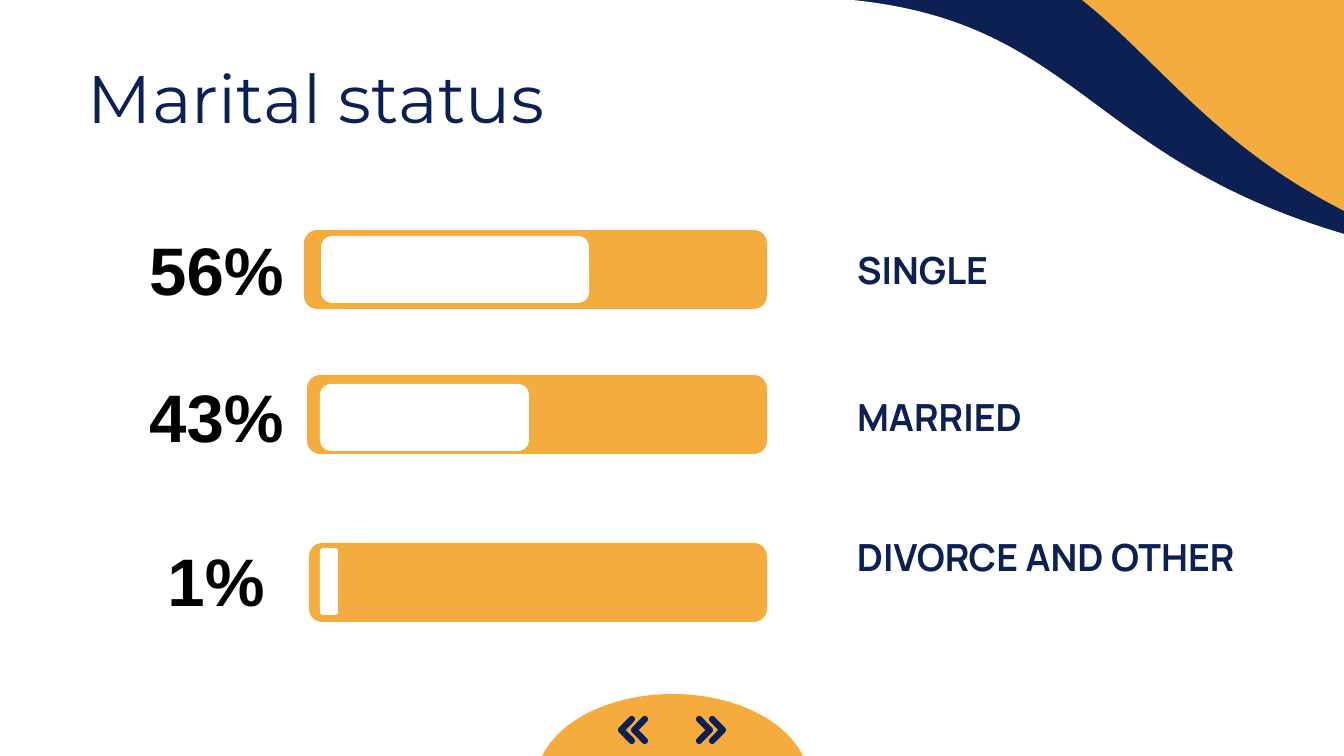
from math import cos, radians, sin, sqrt

from pptx import Presentation
from pptx import util as u
from pptx.dml.color import RGBColor
from pptx.enum import shapes, text

PX = 914400 / 134.4
SHAPE = shapes.MSO_SHAPE
PAD = 13


class Theme:
    orange, navy, white, black = "F3AC3D", "0C2054", "FFFFFF", "000000"
    title = dict(font="Montserrat", size=36, color=navy)
    label = dict(font="Manrope", size=20, color=navy, bold=True)
    percent = dict(font="Arial", size=36, color=black, bold=True,
                   align=text.PP_ALIGN.RIGHT)


# boxes are left, top, width, height in px
TITLE = ("Marital status", (75, 44, 1163, 106))
WAVES = [  # box, rotation, colour
    ((636, -36, 755, 806), 198.2, Theme.navy),
    ((661, 34, 681, 601), 194.3, Theme.white),
    ((-133, -93, 1535, 1051), 194.3, Theme.white),
]
TRACK_RIGHT, TRACK_H = 767, 79
FILL_H = 67
PERCENT_RIGHT = 300
LABEL_LEFT = 844
ROWS = [
    dict(percent="56%", percent_at=(132, 235), pad_right=PAD,
         track_at=(304, 230), fill_at=(321, 236), fill_w=268,
         label="SINGLE", label_at=(251, 188, 38)),
    dict(percent="43%", percent_at=(132, 382), pad_right=PAD,
         track_at=(307, 375), fill_at=(320, 384), fill_w=209,
         label="MARRIED", label_at=(389, 246, 55)),
    dict(percent="1%", percent_at=(146, 546), pad_right=32,
         track_at=(309, 543), fill_at=(320, 548), fill_w=18,
         label="DIVORCE AND OTHER", label_at=(529, 450, 55)),
]
TAB = (536, 694, 273, 176)
ARROWS = [(1, (696, 709)), (-1, (631, 618))]  # direction, lefts
ARROW_TOP, ARROW_W, ARROW_H, ARROW_R = 716, 17, 28, 3.2


def px(*values):
    return [u.Emu(round(v * PX)) for v in values]


def paint(s, color):
    s.shadow.inherit = False
    s.fill.solid()
    s.fill.fore_color.rgb = RGBColor.from_string(color)
    s.line.fill.background()
    return s


def add_shape(slide, kind, box, color, rotation=0, flip=False):
    s = paint(slide.shapes.add_shape(kind, *px(*box)), color)
    s.rotation = rotation
    if flip:
        s._element.spPr.xfrm.set("flipH", "1")
    return s


def add_bar(slide, box, color):
    s = add_shape(slide, SHAPE.ROUNDED_RECTANGLE, box, color)
    s.adjustments[0] = 0.167
    return s


def write(s, words, font, size, color, bold=False,
          align=text.PP_ALIGN.LEFT, pad_right=PAD):
    tf = s.text_frame
    tf.word_wrap = True
    tf.vertical_anchor = text.MSO_ANCHOR.MIDDLE
    tf.margin_left, tf.margin_top, tf.margin_right, tf.margin_bottom = px(
        PAD, PAD, pad_right, PAD)
    p = tf.paragraphs[0]
    p.alignment = align
    r = p.add_run()
    r.text = words
    r.font.name, r.font.size, r.font.bold = font, u.Pt(size), bold
    r.font.color.rgb = RGBColor.from_string(color)


def chevron(left, direction):
    """Outline of a round-ended chevron; direction is 1 for right, -1 for left."""
    near, far = ARROW_R, ARROW_W - ARROW_R
    middle = ARROW_H / 2
    arcs = [(near, near, 135, 315), (far, middle, -45, 45),
            (near, ARROW_H - near, 45, 225)]
    points = [(x + ARROW_R * cos(radians(a)), y + ARROW_R * sin(radians(a)))
              for x, y, start, end in arcs for a in range(start, end + 1, 15)]
    points.append((far - ARROW_R * sqrt(2), middle))
    return [(left + (x if direction > 0 else ARROW_W - x), ARROW_TOP + y)
            for x, y in points]


def add_outline(parent, points, color):
    units = [(x * 100, y * 100) for x, y in points]
    builder = parent.shapes.build_freeform(*units[0], scale=PX / 100)
    builder.add_line_segments(units[1:], close=True)
    paint(builder.convert_to_shape(), color)


def main():
    prs = Presentation()
    prs.slide_width, prs.slide_height = px(1344, 756)
    slide = prs.slides.add_slide(prs.slide_layouts[6])
    slide.background.fill.solid()
    slide.background.fill.fore_color.rgb = RGBColor.from_string(Theme.orange)

    for box, rotation, color in WAVES:
        add_shape(slide, SHAPE.FLOWCHART_DOCUMENT, box, color, rotation, flip=True)

    words, box = TITLE
    write(slide.shapes.add_textbox(*px(*box)), words, **Theme.title)

    for row in ROWS:
        x, y = row["track_at"]
        add_bar(slide, (x, y, TRACK_RIGHT - x, TRACK_H), Theme.orange)
        add_bar(slide, (*row["fill_at"], row["fill_w"], FILL_H), Theme.white)
        x, y = row["percent_at"]
        s = add_bar(slide, (x, y, PERCENT_RIGHT - x, FILL_H), Theme.white)
        write(s, row["percent"], pad_right=row["pad_right"], **Theme.percent)
        top, width, height = row["label_at"]
        s = slide.shapes.add_textbox(*px(LABEL_LEFT, top, width, height))
        write(s, row["label"], **Theme.label)

    tab = add_shape(slide, SHAPE.PIE, TAB, Theme.orange, rotation=180, flip=True)
    tab.adjustments[0], tab.adjustments[1] = 0, 108.31
    for direction, lefts in ARROWS:
        group = slide.shapes.add_group_shape()
        for left in lefts:
            add_outline(group, chevron(left, direction), Theme.navy)

    prs.save("out.pptx")


if __name__ == "__main__":
    main()
